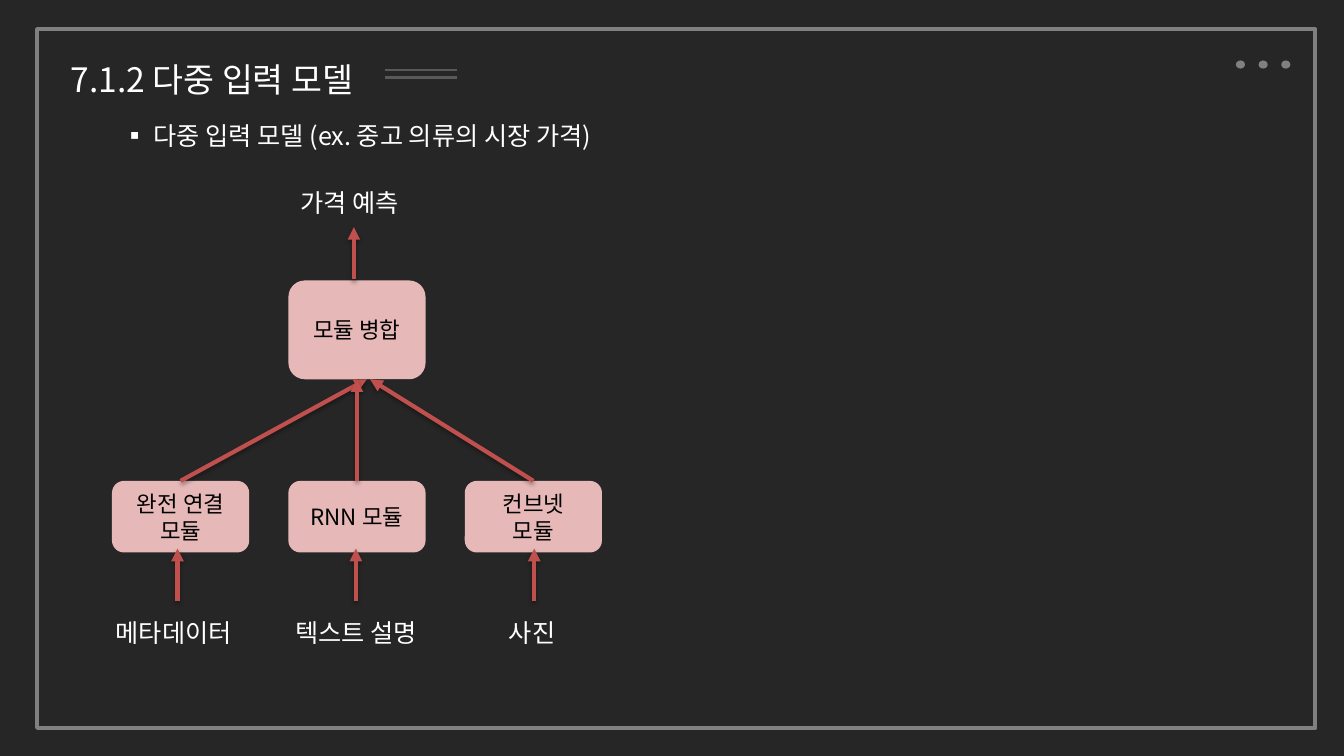
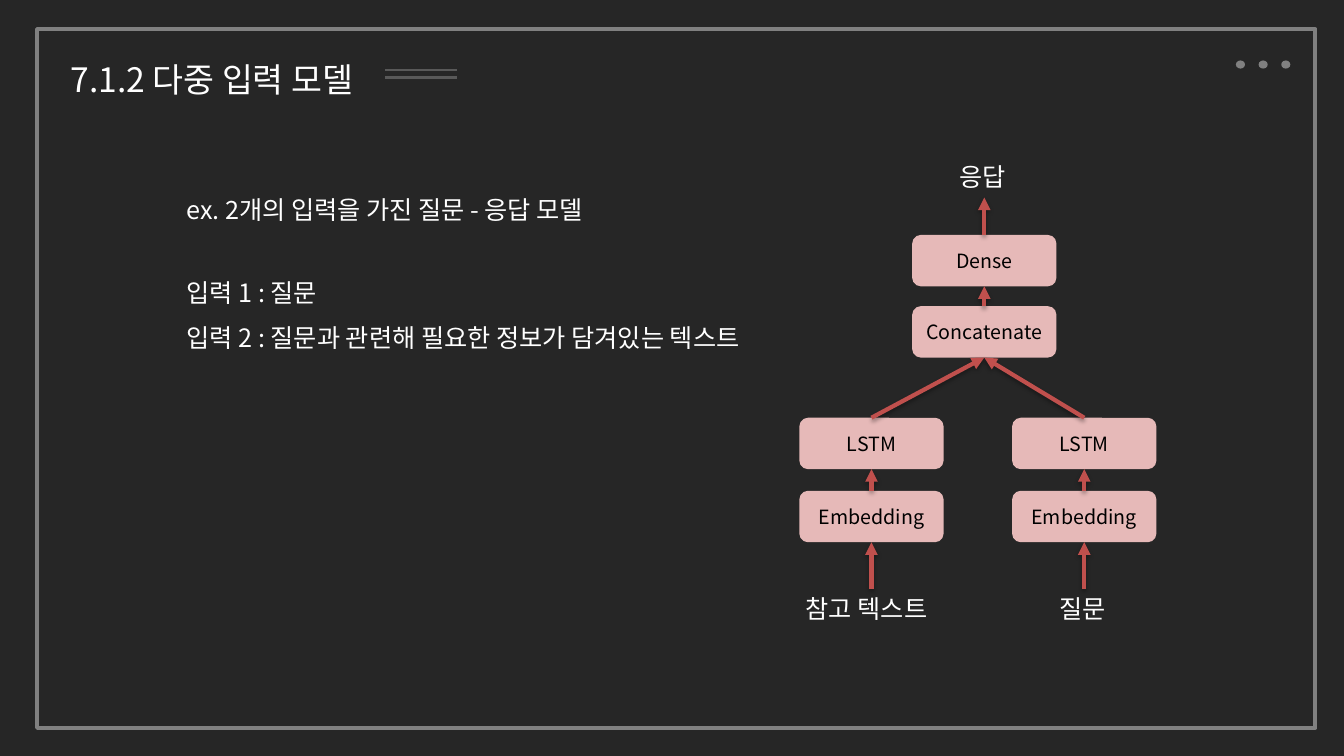
import dataclasses

import lxml.etree
import pptx
import pptx.dml.color
import pptx.enum.shapes
import pptx.enum.text
import pptx.oxml.ns
import pptx.util

Pt = pptx.util.Pt
qn = pptx.oxml.ns.qn
Align = pptx.enum.text.PP_ALIGN
Anchor = pptx.enum.text.MSO_ANCHOR
AutoSize = pptx.enum.text.MSO_AUTO_SIZE
Preset = pptx.enum.shapes.MSO_SHAPE


@dataclasses.dataclass(frozen=True)
class Theme:
    font: str = "Noto Sans CJK KR"
    background: str = "262626"
    frame: str = "808080"
    rule: str = "595959"
    light: str = "FFFFFF"
    dark: str = "000000"
    module: str = "E6B9B8"
    arrow: str = "C0504D"
    title_size: int = 24
    body_size: int = 18
    module_size: int = 16
    layer_size: int = 14


THEME = Theme()


def color(value):
    return pptx.dml.color.RGBColor.from_string(value)


def add_element(parent, tag, **attributes):
    return lxml.etree.SubElement(parent, qn(tag), attributes)


def write(shape, text, size=THEME.body_size, ink=THEME.light, align=Align.LEFT,
          anchor=Anchor.TOP, spacing=None, wrap=False, bullet=None,
          auto_size=AutoSize.SHAPE_TO_FIT_TEXT):
    frame = shape.text_frame
    frame.text = text
    frame.word_wrap = wrap
    frame.auto_size = auto_size
    frame.vertical_anchor = anchor
    for paragraph in frame.paragraphs:
        paragraph.alignment = align
        paragraph.space_before = Pt(0)
        if spacing:
            paragraph.line_spacing = spacing
        properties = paragraph._p.get_or_add_pPr()
        indent = Pt(22.5) if bullet else 0
        properties.set("marL", str(indent))
        properties.set("indent", str(-indent))
        if bullet:
            add_element(properties, "a:buFont", typeface=THEME.font)
            add_element(properties, "a:buChar", char=bullet)
        else:
            add_element(properties, "a:buNone")
        for run in paragraph.runs:
            run.font.size = Pt(size)
            run.font.color.rgb = color(ink)
            run.font.name = THEME.font
            add_element(run.font._element, "a:ea", typeface=THEME.font)


def place(shape, left, top, width, height):
    shape.left, shape.top = Pt(left), Pt(top)
    shape.width, shape.height = Pt(width), Pt(height)


def add_preset(slide, preset, left, top, width, height, fill=None, line=None):
    shape = slide.shapes.add_shape(preset, Pt(left), Pt(top), Pt(width), Pt(height))
    shape.shadow.inherit = False
    if fill:
        shape.fill.solid()
        shape.fill.fore_color.rgb = color(fill)
    else:
        shape.fill.background()
    if line:
        shape.line.color.rgb = color(line)
        shape.line.width = Pt(3)
    else:
        shape.line.fill.background()
    return shape


def add_line(slide, start, end, ink, width):
    connector = slide.shapes.add_connector(
        pptx.enum.shapes.MSO_CONNECTOR.STRAIGHT, *(Pt(value) for value in (*start, *end)))
    connector.line.color.rgb = color(ink)
    connector.line.width = Pt(width)
    effects = add_element(connector._element.spPr, "a:effectLst")
    return connector, effects


def add_arrow(slide, start, end):
    start_point = start if isinstance(start, tuple) else (0, 0)
    end_point = end if isinstance(end, tuple) else (0, 0)
    connector, effects = add_line(slide, start_point, end_point, THEME.arrow, 3)
    if start is not start_point:
        connector.begin_connect(start, 0)
    if end is not end_point:
        connector.end_connect(end, 2)
    add_element(connector.line._get_or_add_ln(), "a:tailEnd", type="triangle")
    shadow = add_element(effects, "a:outerShdw", blurRad=str(Pt(3.1)), dist=str(Pt(1.8)),
                         dir="5400000", rotWithShape="0")
    add_element(add_element(shadow, "a:srgbClr", val=THEME.dark), "a:alpha", val="35000")


def add_label(slide, text, left, top, width, height=28.8, **text_format):
    box = slide.shapes.add_textbox(Pt(left), Pt(top), Pt(width), Pt(height))
    write(box, text, **text_format)


def add_module(slide, text, left, top, width, height, size):
    shape = add_preset(slide, Preset.ROUNDED_RECTANGLE, left, top, width, height,
                       fill=THEME.module)
    write(shape, text, size=size, ink=THEME.dark, align=Align.CENTER,
          anchor=Anchor.MIDDLE, wrap=True, auto_size=AutoSize.NONE)
    return shape


def add_slide(presentation, title):
    slide = presentation.slides.add_slide(presentation.slide_layouts[1])
    slide.background.fill.solid()
    slide.background.fill.fore_color.rgb = color(THEME.background)
    for index in range(3):
        add_preset(slide, Preset.OVAL, 882.8 + 16.2 * index, 43.2, 6.5, 5.8,
                   fill=THEME.frame)
    add_preset(slide, Preset.RECTANGLE, 26.6, 20.9, 913, 499, line=THEME.frame)
    place(slide.shapes.title, 43.2, 23.8, 231.8, 51.1)
    write(slide.shapes.title, title, size=THEME.title_size, spacing=1.5, wrap=True)
    for height in (49.7, 55.4):
        add_line(slide, (275, height), (326.2, height), THEME.rule, 1.5)
    return slide


def add_body(slide, text, left, top, width, height, **text_format):
    body = slide.placeholders[1]
    place(body, left, top, width, height)
    write(body, text, **text_format)


def draw_price_model(slide, left, top):
    width, pitch = 98, 126
    merge = add_module(slide, "모듈 병합", left + pitch, top + 70, width, 70.6,
                       THEME.module_size)
    center = left + pitch + width / 2
    merge_bottom = top + 140.6
    inputs = (
        ("완전 연결\n모듈", "메타데이터", -4.4, 103, (center + 7, merge_bottom)),
        ("RNN 모듈", "텍스트 설명", 123.8, 108, merge),
        ("컨브넷\n모듈", "사진", 276.4, 49.7, (center + 9.4, merge_bottom)),
    )
    for index, (name, source, label_left, label_width, target) in enumerate(inputs):
        module = add_module(slide, name, left + pitch * index, top + 213.2, width, 51.1,
                            THEME.module_size)
        add_arrow(slide, module, target)
        arrow_x = left + 46.8 + 127.4 * index
        add_arrow(slide, (arrow_x, top + 299), (arrow_x, top + 261.6))
        add_label(slide, source, left + label_left, top + 307, label_width)
    add_arrow(slide, (center - 2.2, top + 69.3), (center - 2.2, top + 31.9))
    add_label(slide, "가격 예측", left + 127.4, top, 90.7)


def draw_answer_model(slide, left, top):
    width, height = 103, 36.7

    def add_layer(name, center, offset):
        return add_module(slide, name, center - width / 2, top + offset, width, height,
                          THEME.layer_size)

    def add_caption(text, center, offset, caption_width):
        add_label(slide, text, center - caption_width / 2, top + offset, caption_width)

    middle = left + 132.1
    dense = add_layer("Dense", middle, 56.2)
    concatenate = add_layer("Concatenate", middle, 107.1)
    add_arrow(slide, concatenate, dense)
    add_arrow(slide, dense, (middle, top + 29.5))
    add_caption("응답", middle, 0, 49.7)
    for source, offset, caption_width in (("참고 텍스트", 51.5, 108), ("질문", 203.5, 49.7)):
        center = left + offset
        lstm = add_layer("LSTM", center, 186.8)
        embedding = add_layer("Embedding", center, 239)
        add_arrow(slide, (center, top + 308.9), embedding)
        add_arrow(slide, embedding, lstm)
        add_arrow(slide, lstm, concatenate)
        add_caption(source, center, 308.9, caption_width)


def main():
    presentation = pptx.Presentation()
    presentation.slide_width, presentation.slide_height = Pt(960), Pt(540)
    title = "7.1.2 다중 입력 모델"

    price_slide = add_slide(presentation, title)
    add_body(price_slide, "다중 입력 모델 (ex. 중고 의류의 시장 가격)", 80, 82, 375.8, 28.8,
             bullet="▪")
    draw_price_model(price_slide, 80, 130.3)

    answer_slide = add_slide(presentation, title)
    add_label(answer_slide, "ex. 2개의 입력을 가진 질문 - 응답 모델", 126, 135.4, 324.7)
    add_body(answer_slide, "입력 1 : 질문\n입력 2 : 질문과 관련해 필요한 정보가 담겨있는 텍스트",
             126, 183.6, 445, 72.7, spacing=1.5)
    draw_answer_model(answer_slide, 571, 111.6)

    presentation.save("out.pptx")


if __name__ == "__main__":
    main()
